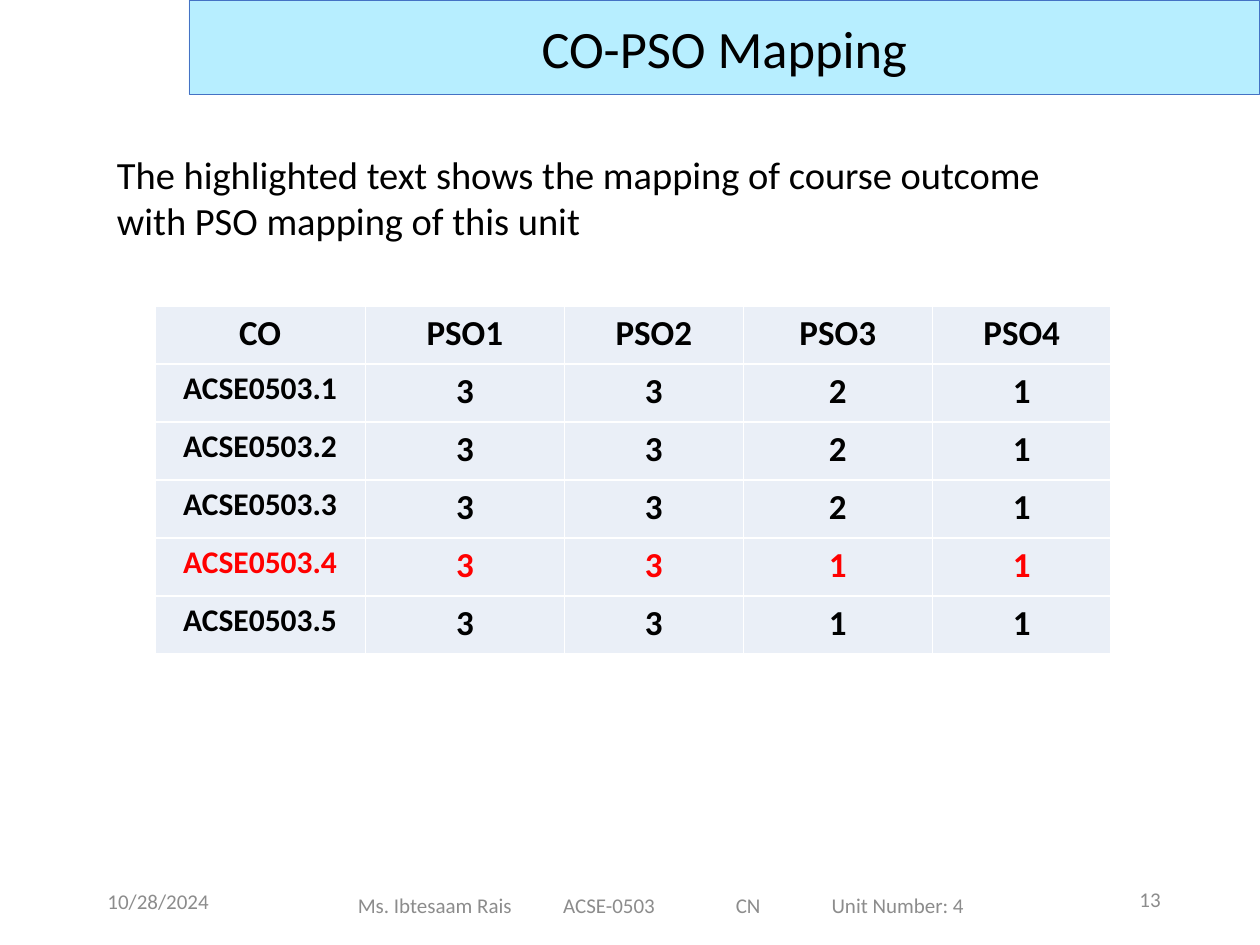
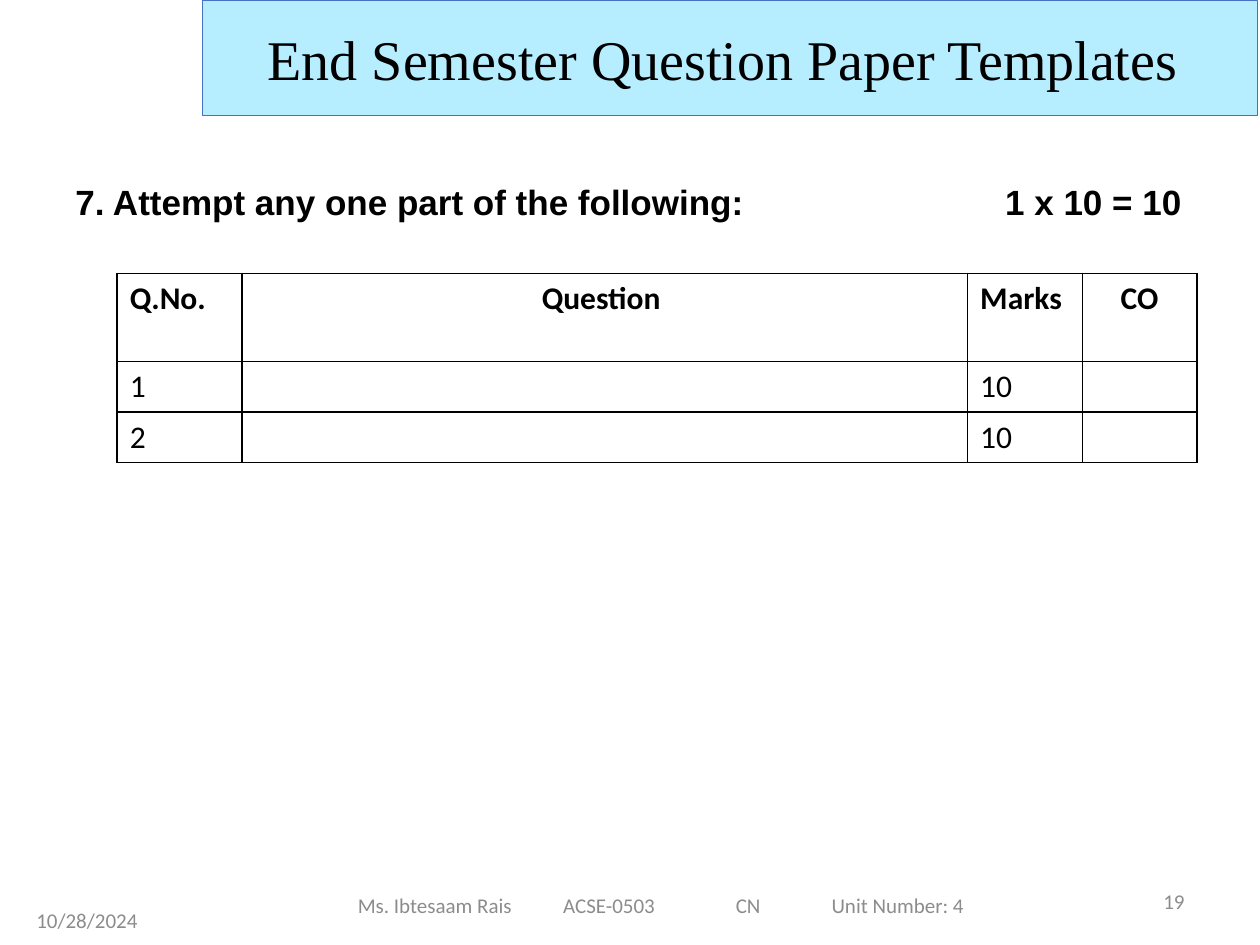
from lxml import etree
from pptx import Presentation
from pptx.dml.color import RGBColor
from pptx.enum.shapes import MSO_SHAPE
from pptx.enum.text import MSO_ANCHOR, PP_ALIGN
from pptx.oxml.ns import qn
from pptx.util import Inches, Pt

RECT = MSO_SHAPE.RECTANGLE
MID, TOP = MSO_ANCHOR.MIDDLE, MSO_ANCHOR.TOP
LEFT, MIDDLE, RIGHT = PP_ALIGN.LEFT, PP_ALIGN.CENTER, PP_ALIGN.RIGHT
HUES = {"band": "B7EEFF", "edge": "4472C4", "ink": "000000", "gray": "8C8C8C",
        "pale": "EAEFF7", "red": "FF0000", "white": "FFFFFF"}
FOOT = "Ms. Ibtesaam Rais\tACSE-0503\tCN\tUnit Number: 4"


def write(frame, text, size, hue="ink", face="Calibri", bold=False, align=LEFT, anchor=TOP, tabs=()):
    frame.word_wrap = True
    frame.vertical_anchor = anchor
    para = frame.paragraphs[0]
    para.alignment = align
    if tabs:
        stops = etree.SubElement(para._p.get_or_add_pPr(), qn("a:tabLst"))
        for spot, kind in tabs:
            etree.SubElement(stops, qn("a:tab"), pos=str(Inches(spot)), algn=kind)
    run = para.add_run()
    run.text = text
    run.font.size = Pt(size)
    run.font.name = face
    run.font.bold = bold
    run.font.color.rgb = RGBColor.from_string(HUES[hue])
    return para


def grid(slide, left, top, cols, rows, fill, edge):
    table = slide.shapes.add_table(len(rows), len(cols), Inches(left), Inches(top),
                                   Inches(sum(cols)), Inches(sum(rows))).table
    table.first_row = table.horz_banding = False
    for col, wide in zip(table.columns, cols):
        col.width = Inches(wide)
    for row, high in zip(table.rows, rows):
        row.height = Inches(high)
    for cell in table.iter_cells():
        cell.fill.solid()
        cell.fill.fore_color.rgb = RGBColor.from_string(HUES[fill])
        props = cell._tc.get_or_add_tcPr()
        for i, side in enumerate(("lnL", "lnR", "lnT", "lnB")):
            line = etree.Element(qn("a:" + side), w=str(Pt(1)))
            paint = etree.SubElement(line, qn("a:solidFill"))
            etree.SubElement(paint, qn("a:srgbClr"), val=HUES[edge])
            props.insert(i, line)
    return table


deck = Presentation()
deck.slide_width, deck.slide_height = Inches(10), Inches(7.5)

pages = [
    {"title": "CO-PSO Mapping", "face": "Calibri", "size": 30, "band": (1.5, 0, 8.5, 0.75),
     "date": (0.69, 6.95, 1.13, 0.4), "num": "13", "spot": (8.69, 6.94, 0.62, 0.4)},
    {"title": "End Semester Question Paper Templates ", "face": "Times New Roman", "size": 32,
     "band": (1.61, 0, 8.37, 0.92), "date": (0, 7.1, 1.38, 0.4), "num": "19",
     "spot": (7.17, 6.95, 2.33, 0.4)},
]
slides = []
for page in pages:
    slide = deck.slides.add_slide(deck.slide_layouts[6])
    slides.append(slide)
    band = slide.shapes.add_shape(RECT, *map(Inches, page["band"]))
    band.shadow.inherit = False
    band.fill.solid()
    band.fill.fore_color.rgb = RGBColor.from_string(HUES["band"])
    band.line.color.rgb = RGBColor.from_string(HUES["edge"])
    band.line.width = Pt(0.5)
    write(band.text_frame, page["title"], page["size"], face=page["face"], align=MIDDLE, anchor=MID)

    date = slide.shapes.add_textbox(*map(Inches, page["date"])).text_frame
    write(date, "10/28/2024", 12, "gray", align=MIDDLE, anchor=MID)
    num = slide.shapes.add_textbox(*map(Inches, page["spot"])).text_frame
    write(num, page["num"], 12, "gray", align=RIGHT, anchor=MID)
    foot = slide.shapes.add_textbox(*map(Inches, (2.5, 6.98, 5.5, 0.4))).text_frame
    foot.margin_left = Inches(0.34)
    write(foot, FOOT, 12, "gray", anchor=MID, tabs=((1.63, "l"), (3, "l"), (3.76, "l")))

first, last = slides

intro = first.shapes.add_textbox(*map(Inches, (0.83, 1.15, 8.08, 0.84))).text_frame
write(intro, "The highlighted text shows the mapping of course outcome with PSO mapping of this unit", 22)

marks = ["3321", "3321", "3321", "3311", "3311"]
rows = [["CO"] + [f"PSO{i}" for i in range(1, 5)]]
rows += [[f"ACSE0503.{i}", *line] for i, line in enumerate(marks, 1)]
table = grid(first, 1.23, 2.43, (1.67, 1.58, 1.42, 1.5, 1.42), [0.46] * 6, "pale", "white")
for r, row in enumerate(rows):
    for c, text in enumerate(row):
        cell = table.cell(r, c)
        cell.margin_left = cell.margin_right = Inches(0.07)
        cell.margin_top = cell.margin_bottom = 0
        para = write(cell.text_frame, text, 18 if r and not c else 20,
                     "red" if r == 4 else "ink", bold=True, align=MIDDLE)
        para.line_spacing = 1.15
        para.space_after = Pt(10)

task = last.shapes.add_textbox(*map(Inches, (0.5, 1.34, 9, 5.2))).text_frame
task.margin_top = Inches(0.09)
write(task, "7. Attempt any one part of the following:\t1 x 10 = 10", 20, face="Arial", bold=True,
      tabs=((8.78, "r"),))

rows = [["Q.No.", "Question ", "Marks", "CO"], ["1", "", "10", ""], ["2", "", "10", ""]]
table = grid(last, 0.93, 2.17, (0.99, 5.76, 0.91, 0.91), (0.7, 0.4, 0.4), "white", "ink")
for r, row in enumerate(rows):
    for c, text in enumerate(row):
        if text:
            write(table.cell(r, c).text_frame, text, 18, bold=r == 0,
                  align=MIDDLE if c in (1, 3) else LEFT)

deck.save("out.pptx")
